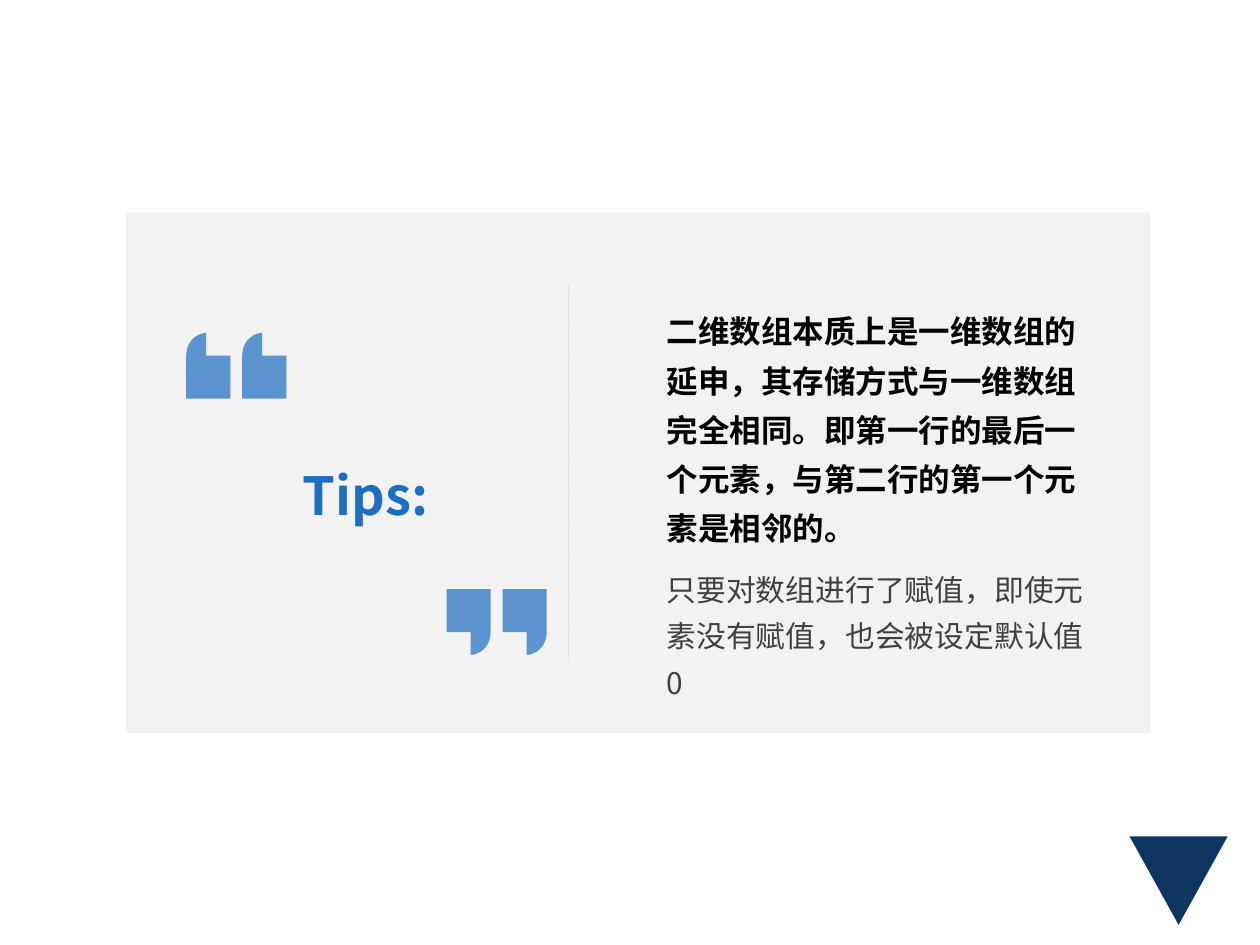
"""Build a tips slide about two-dimensional arrays."""
from lxml import etree
from pptx import Presentation
from pptx import util as u
from pptx.dml.color import RGBColor
from pptx.enum import dml, shapes, text
from pptx.oxml.ns import qn

FONT = "Noto Sans CJK SC"
BLUE = RGBColor(0x1D, 0x6D, 0xC2)
NAVY = RGBColor(0x0F, 0x36, 0x61)
PANEL = RGBColor(0xF2, 0xF2, 0xF2)
RULE = RGBColor(0xD9, 0xD9, 0xD9)
BLACK = RGBColor(0, 0, 0)
GREY = RGBColor(0x40, 0x40, 0x40)

TITLE = {
    "words": "Tips:",
    "place": (94.3, 252.7, 229, 59.8),
    "anchor": text.MSO_ANCHOR.MIDDLE,
    "font": {"size": u.Pt(30), "bold": True},
    "color": BLUE,
    "paragraph": {"alignment": text.PP_ALIGN.CENTER},
}
BODY_SPACING = {"line_spacing": 1.3, "space_after": u.Pt(8), "alignment": text.PP_ALIGN.LEFT}
BODIES = [
    {
        "words": "二维数组本质上是一维数组的延申，其存储方式与一维数组完全相同。"
                 "即第一行的最后一个元素，与第二行的第一个元素是相邻的。",
        "place": (377.3, 138.2, 247.7, 175.7),
        "anchor": text.MSO_ANCHOR.BOTTOM,
        "font": {"size": u.Pt(18), "bold": True},
        "color": BLACK,
        "paragraph": BODY_SPACING,
    },
    {
        "words": "只要对数组进行了赋值，即使元素没有赋值，也会被设定默认值0",
        "place": (377.3, 319, 247.7, 82.8),
        "anchor": text.MSO_ANCHOR.TOP,
        "font": {"size": u.Pt(17), "bold": False},
        "color": GREY,
        "paragraph": BODY_SPACING,
    },
]
BLOCKS = [
    (shapes.MSO_SHAPE.FLOWCHART_MERGE, (645.5, 478, 56, 50.5), NAVY),
    (shapes.MSO_SHAPE.RECTANGLE, (72, 121.5, 585.2, 297.3), PANEL),
]
QUOTE_SIZE = (25.2, 37.6)
QUOTE_CORNERS = [(11.4, 0), (11.4, 13), (25.2, 13), (25.2, 37.6), (0, 37.6), (0, 13.5)]
QUOTE_CURVE = [(0, 13.5), (0, 2.2), (9.2, 0), (11.4, 0)]
QUOTE_GAP = 32
QUOTES = [(106.4, 190.2, False), (255.2, 336.7, True)]
QUOTE_OPACITY = 70


def curve_points(controls, steps=16):
    """Sample a cubic curve after its first point."""
    weights = (1, 3, 3, 1)
    for step in range(1, steps + 1):
        t = step / steps
        yield tuple(
            sum(w * (1 - t) ** (3 - i) * t ** i * controls[i][axis] for i, w in enumerate(weights))
            for axis in (0, 1)
        )


def paint(shape, color):
    """Give a shape a plain fill without line or shadow."""
    shape.shadow.inherit = False
    shape.fill.solid()
    shape.fill.fore_color.rgb = color
    shape.line.fill.background()


def add_quote(page, left, top, turned):
    """Draw one quotation mark, turned by half for a closing mark."""
    outline = QUOTE_CORNERS + list(curve_points(QUOTE_CURVE))
    if turned:
        outline = [(QUOTE_SIZE[0] - x, QUOTE_SIZE[1] - y) for x, y in outline]
    points = [(u.Pt(left + x), u.Pt(top + y)) for x, y in outline]
    builder = page.shapes.build_freeform(*points[0])
    builder.add_line_segments(points[1:], close=True)
    mark = builder.convert_to_shape()
    paint(mark, BLUE)
    color = mark.element.spPr.find(qn("a:solidFill"))[0]
    etree.SubElement(color, qn("a:alpha"), val=str(QUOTE_OPACITY * 1000))


def write(box, content):
    """Place and format a text box with one paragraph."""
    box.left, box.top, box.width, box.height = map(u.Pt, content["place"])
    frame = box.text_frame
    settings = {
        "word_wrap": True, "auto_size": text.MSO_AUTO_SIZE.NONE,
        "vertical_anchor": content["anchor"],
        "margin_left": u.Pt(3.6), "margin_right": u.Pt(3.6),
        "margin_top": u.Pt(1.44), "margin_bottom": u.Pt(1.44),
    }
    para = frame.paragraphs[0]
    span = para.add_run()
    span.text = content["words"]
    for target, values in (
        (frame, settings),
        (para, content["paragraph"]),
        (span.font, {"name": FONT, **content["font"]}),
    ):
        for name, value in values.items():
            setattr(target, name, value)
    span.font.color.rgb = content["color"]
    latin = span.font._element.find(qn("a:latin"))
    east_asian = etree.Element(qn("a:ea"), typeface=FONT)
    latin.addnext(east_asian)


def main():
    deck = Presentation()
    deck.slide_width, deck.slide_height = u.Pt(720), u.Pt(540)
    page = deck.slides.add_slide(deck.slide_layouts[5])

    for preset, place, color in BLOCKS:
        paint(page.shapes.add_shape(preset, *map(u.Pt, place)), color)

    divider = page.shapes.add_connector(
        shapes.MSO_CONNECTOR.STRAIGHT, *map(u.Pt, (324.7, 163.4, 324.7, 376.6))
    )
    divider.line.color.rgb = RULE
    divider.line.width = u.Pt(0.11)
    divider.line.dash_style = dml.MSO_LINE.DASH
    etree.SubElement(divider.element.spPr, qn("a:effectLst"))

    for left, top, turned in QUOTES:
        for index in range(2):
            add_quote(page, left + index * QUOTE_GAP, top, turned)

    title = page.shapes.title
    title.element.getparent().append(title.element)
    write(title, TITLE)
    for content in BODIES:
        write(page.shapes.add_textbox(*map(u.Pt, content["place"])), content)

    deck.save("out.pptx")


if __name__ == "__main__":
    main()
